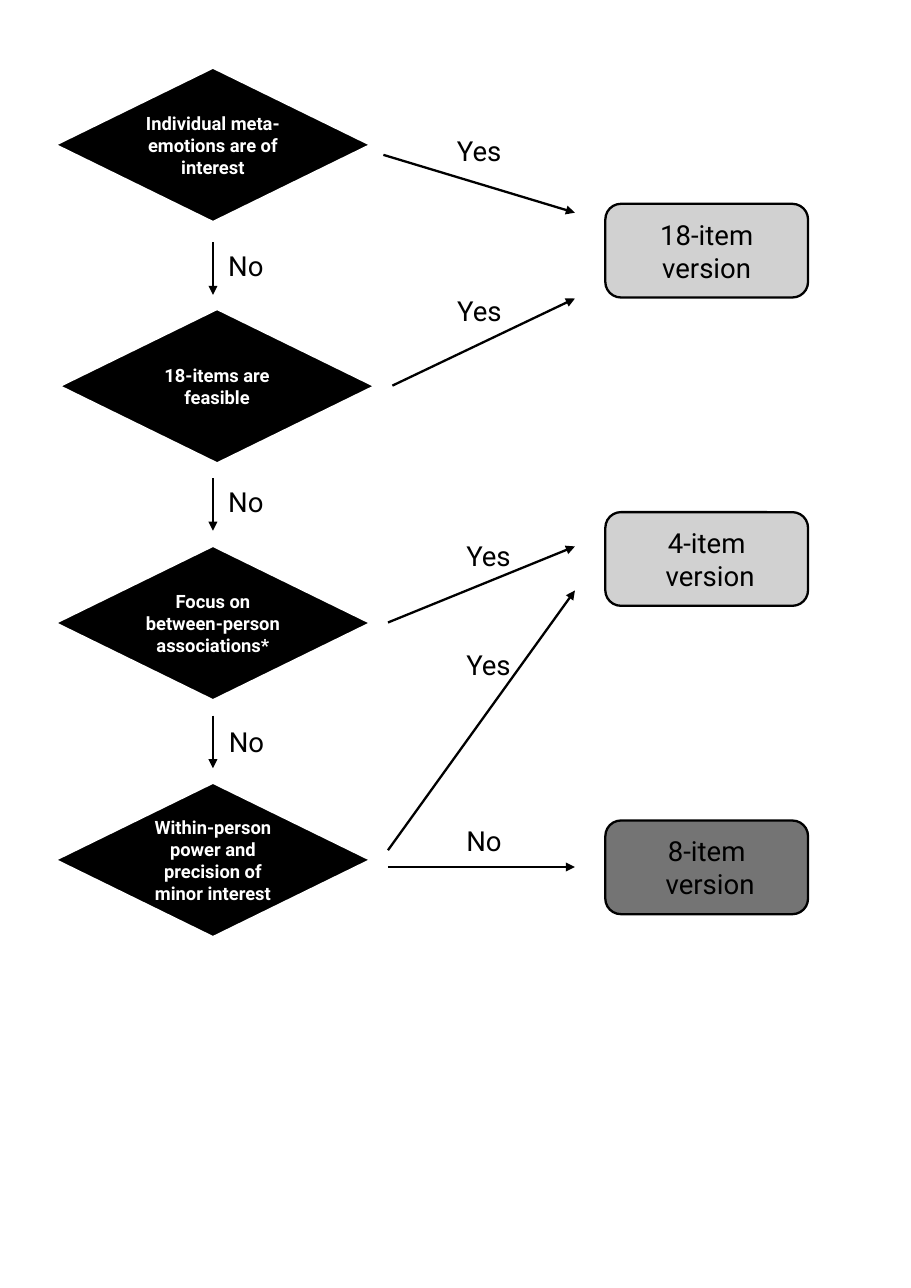
from dataclasses import dataclass

from lxml.etree import SubElement
from pptx import Presentation
from pptx.dml.color import RGBColor
from pptx.enum.shapes import MSO_CONNECTOR as Connector, MSO_SHAPE as Shape
from pptx.enum.text import MSO_ANCHOR as Anchor, MSO_AUTO_SIZE as AutoSize, PP_ALIGN as Align
from pptx.oxml.ns import qn
from pptx.slide import Slide
from pptx.text.text import TextFrame
from pptx.util import Pt

COLORS = {"black": "000000", "white": "FFFFFF", "light": "D1D1D1", "dark": "747474"}
FONT = "Roboto"
QUESTION_SIZE = (207.4, 101.5)
VERSION_SIZE = (132.5, 61.2)
LABEL_SIZE = (45, 28.8)
QUESTION_LEFT = 35.5
VERSION_LEFT, VERSION_TOP, VERSION_STEP = 395.7, 133.2, 201.5
DOWN_X = QUESTION_LEFT + QUESTION_SIZE[0] / 2
ARROW_END_X = 375.8


@dataclass
class Box:
    lines: tuple[str, ...]
    left: float
    top: float


@dataclass
class Style:
    preset: Shape
    size: tuple[float, float]
    fill: str
    outline: str
    outline_width: float
    text_color: str
    text_size: float
    bold: bool


@dataclass
class Answer:
    word: str
    label_at: tuple[float, float]
    start: tuple[float, float]
    end: tuple[float, float]


QUESTION = Style(Shape.DIAMOND, QUESTION_SIZE, "black", "white", 2, "white", 12, True)
LIGHT_VERSION = Style(Shape.ROUNDED_RECTANGLE, VERSION_SIZE, "light", "black", 1.5, "black", 18, False)
DARK_VERSION = Style(Shape.ROUNDED_RECTANGLE, VERSION_SIZE, "dark", "black", 1.5, "black", 18, False)

QUESTIONS = [
    Box(("Individual meta-emotions are of interest",), QUESTION_LEFT, 43.9),
    Box(("18-items are feasible",), 38.2, 201.6),
    Box(("Focus on between-person associations*",), QUESTION_LEFT, 356.4),
    Box(("Within-person power and precision of minor interest",), QUESTION_LEFT, 511.2),
]
VERSIONS = [
    (("18-item version",), LIGHT_VERSION),
    (("4-item", " version"), LIGHT_VERSION),
    (("8-item", " version"), DARK_VERSION),
]
ANSWERS = [
    Answer("Yes", (291.6, 83.8), (250.6, 101.2), (ARROW_END_X, 139)),
    Answer("Yes", (291.8, 188.6), (256.5, 252), (ARROW_END_X, 195.1)),
    Answer("Yes", (297.7, 348.5), (253.6, 406.8), (ARROW_END_X, 357.1)),
    Answer("Yes", (297.7, 420), (253.6, 555.6), (ARROW_END_X, 385.9)),
    Answer("No", (297.7, 535), (253.6, 566.6), (ARROW_END_X, 566.6)),
    Answer("No", (142.1, 159.1), (DOWN_X, 158.4), (DOWN_X, 192.7)),
    Answer("No", (142.1, 313.2), (DOWN_X, 312.5), (DOWN_X, 346.8)),
    Answer("No", (142.5, 470.2), (DOWN_X, 467.7), (DOWN_X, 502)),
]


def rgb(name: str) -> RGBColor:
    return RGBColor.from_string(COLORS[name])


def write(frame: TextFrame, lines: tuple[str, ...], size: float, color: str, bold: bool = False) -> None:
    frame.word_wrap = True
    paragraph = frame.paragraphs[0]
    for index, line in enumerate(lines):
        if index:
            paragraph.add_line_break()
        run = paragraph.add_run()
        run.text = line
        run.font.name = FONT
        run.font.size = Pt(size)
        run.font.bold = bold
        run.font.color.rgb = rgb(color)


def draw_box(slide: Slide, box: Box, style: Style) -> None:
    width, height = style.size
    node = slide.shapes.add_shape(style.preset, Pt(box.left), Pt(box.top), Pt(width), Pt(height))
    node.shadow.inherit = False
    node.fill.solid()
    node.fill.fore_color.rgb = rgb(style.fill)
    node.line.color.rgb = rgb(style.outline)
    node.line.width = Pt(style.outline_width)
    frame = node.text_frame
    frame.vertical_anchor = Anchor.MIDDLE
    frame.paragraphs[0].alignment = Align.CENTER
    write(frame, box.lines, style.text_size, style.text_color, style.bold)


def draw_answer(slide: Slide, answer: Answer) -> None:
    ends = [Pt(value) for value in answer.start + answer.end]
    arrow = slide.shapes.add_connector(Connector.STRAIGHT, *ends)
    arrow.line.color.rgb = rgb("black")
    arrow.line.width = Pt(1.5)
    properties = arrow.element.spPr
    SubElement(properties.find(qn("a:ln")), qn("a:tailEnd"), type="triangle")
    SubElement(properties, qn("a:effectLst"))

    bounds = [Pt(value) for value in answer.label_at + LABEL_SIZE]
    frame = slide.shapes.add_textbox(*bounds).text_frame
    frame.auto_size = AutoSize.SHAPE_TO_FIT_TEXT
    write(frame, (answer.word,), 18, "black")


def main() -> None:
    deck = Presentation()
    deck.slide_width, deck.slide_height = Pt(595.44), Pt(841.68)
    slide = deck.slides.add_slide(deck.slide_layouts[6])
    for question in QUESTIONS:
        draw_box(slide, question, QUESTION)
    for row, (lines, style) in enumerate(VERSIONS):
        draw_box(slide, Box(lines, VERSION_LEFT, VERSION_TOP + row * VERSION_STEP), style)
    for answer in ANSWERS:
        draw_answer(slide, answer)
    deck.save("out.pptx")


if __name__ == "__main__":
    main()
